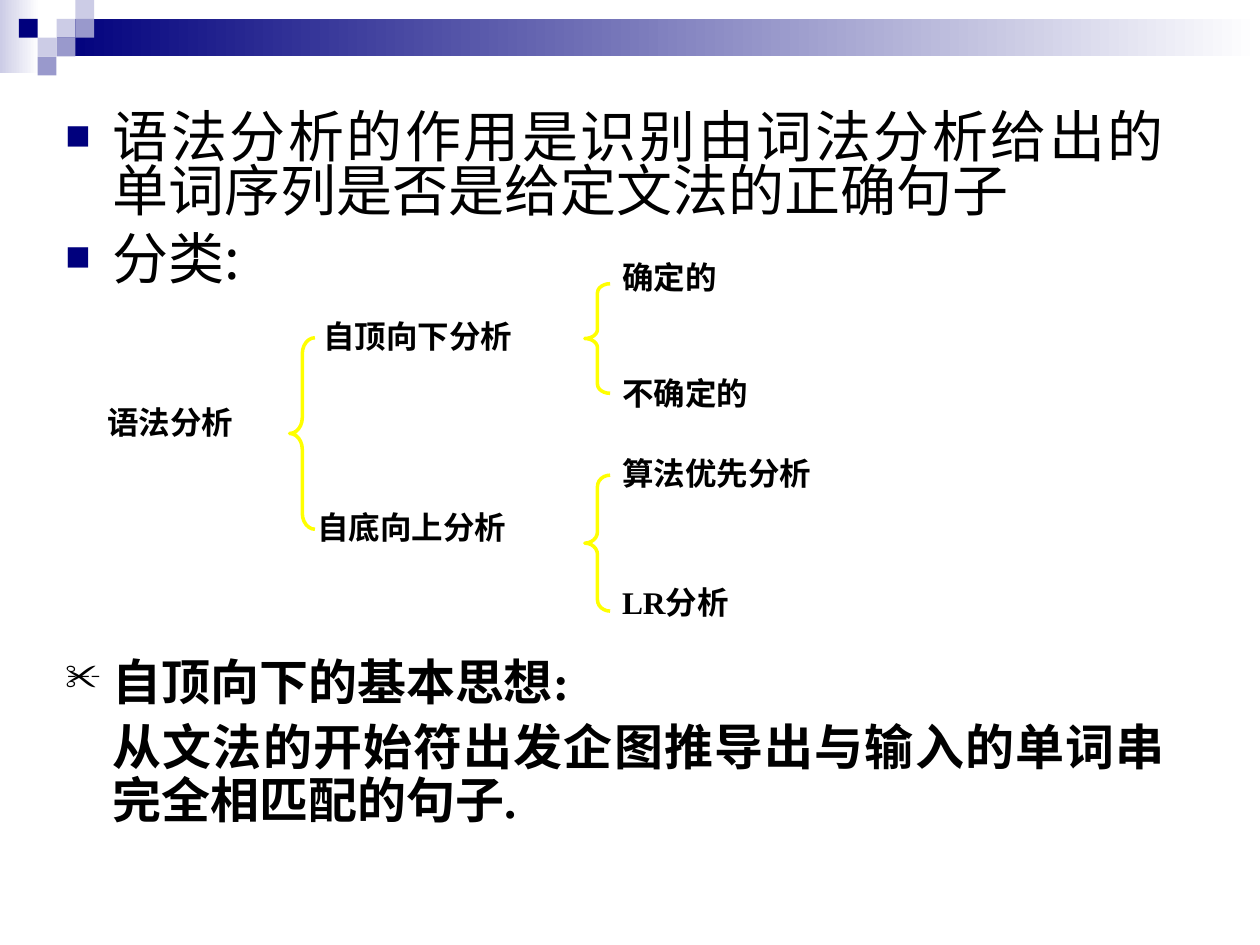
import pptx
import pptx.util
import pptx.oxml
import pptx.dml.color
import pptx.enum.text
import pptx.enum.shapes
from pptx.util import Cm, Pt

HUES = {
    "navy": "00007D",
    "mid": "9999CC",
    "pale": "CCCCE6",
    "white": "FFFFFF",
    "yellow": "FFFF00",
    "black": "000000",
}
SANS, SERIF = "Noto Sans CJK SC", "Times New Roman"
KINDS = pptx.enum.shapes.MSO_SHAPE


def hue(name):
    return pptx.dml.color.RGBColor.from_string(HUES[name])


def child(root, tag, **attrs):
    node = root.makeelement(pptx.oxml.ns.qn(tag), attrs)
    root.append(node)
    return node


class Deck:
    def __init__(self):
        self.prs = pptx.Presentation()
        self.prs.slide_width, self.prs.slide_height = Cm(25.4), Cm(19.05)
        self.slide = self.prs.slides.add_slide(self.prs.slide_layouts[1])
        title = self.slide.shapes.title
        title.element.getparent().remove(title.element)

    def shape(self, kind, box):
        item = self.slide.shapes.add_shape(kind, *map(Cm, box))
        item.shadow.inherit = False
        return item

    def block(self, box, tone):
        item = self.shape(KINDS.RECTANGLE, box)
        item.line.fill.background()
        item.fill.solid()
        item.fill.fore_color.rgb = hue(tone)
        return item

    def fade(self, box, tone):
        fill = self.block(box, tone).fill
        fill.gradient()
        fill.gradient_angle = 0
        for stop, name, place in zip(fill.gradient_stops, (tone, "white"), (0, 1)):
            stop.color.rgb = hue(name)
            stop.position = place

    def brace(self, left, top, high, wide=0.51):
        item = self.shape(KINDS.LEFT_BRACE, (left, top, wide, high))
        item.adjustments[0] = high / wide / 12
        item.fill.background()
        item.line.color.rgb = hue("yellow")
        item.line.width = Pt(2)

    def frame(self, item, lines):
        frame = item.text_frame
        frame.word_wrap = True
        frame.auto_size = pptx.enum.text.MSO_AUTO_SIZE.NONE
        frame.vertical_anchor = pptx.enum.text.MSO_ANCHOR.TOP
        frame.margin_left = frame.margin_right = Cm(0.25)
        frame.margin_top = frame.margin_bottom = Cm(0.13)
        frame.text = "\n".join(lines)
        return frame.paragraphs

    def style(self, para, face, size, bold):
        para.alignment = pptx.enum.text.PP_ALIGN.JUSTIFY
        for run in para.runs:
            font = run.font
            font.size, font.bold, font.name = Pt(size), bold, face
            font.color.rgb = hue("black")
            child(font._element, "a:ea", typeface=SANS)

    def label(self, text, left, top, wide):
        item = self.slide.shapes.add_textbox(Cm(left), Cm(top), Cm(wide), Cm(1.65))
        self.style(self.frame(item, [text])[0], SERIF, 18, True)

    def points(self, item, top, lines, marks, tone, face, size, bold, pitch, gap):
        item.left, item.top, item.width, item.height = map(Cm, (1.07, top, 22.66, 4.01))
        for num, (para, mark) in enumerate(zip(self.frame(item, lines), marks)):
            props = para._p.get_or_add_pPr()
            props.set("marL", str(Cm(0.95)))
            props.set("indent", str(Cm(-0.95) if mark else 0))
            if mark:
                child(child(props, "a:buClr"), "a:srgbClr", val=HUES[tone])
                child(props, "a:buSzPct", val="75000")
                child(props, "a:buChar", char=mark)
            else:
                child(props, "a:buNone")
            para.line_spacing = pitch
            para.space_before = Pt(gap if num else 0)
            self.style(para, face, size, bold)


def main():
    deck = Deck()

    # Header band and its mosaic of squares
    deck.fade((0, 0, 0.79, 1.47), "pale")
    deck.fade((1.14, 0.38, 24.26, 0.76), "navy")
    unit = 0.38
    mosaic = [(3, 1, "pale"), (4, 0, "pale"), (4, 1, "mid"), (2, 2, "pale"),
              (1, 1, "navy"), (3, 2, "mid"), (2, 3, "mid")]
    for col, row, tone in mosaic:
        deck.block((col * unit, row * unit, unit, unit), tone)

    # Main points
    body = deck.slide.placeholders[1]
    deck.points(body, 2.18,
                ["语法分析的作用是识别由词法分析给出的单词序列是否是给定文法的正确句子", "分类:"],
                "■■", "navy", SANS, 32, False, 0.8, 8)

    # Tree of parsing methods
    for place in [(5.84, 6.81, 3.86), (11.79, 5.72, 2.21), (11.79, 9.58, 2.74)]:
        deck.brace(*place)
    labels = [
        ("语法分析", 1.91, 8, 4.45),
        ("自顶向下分析", 6.27, 6.27, 6.07),
        ("自底向上分析", 6.15, 10.11, 7.01),
        ("确定的", 12.29, 5.08, 5.16),
        ("不确定的", 12.29, 7.42, 5.16),
        ("算法优先分析", 12.29, 9.02, 10.13),
        ("LR分析", 12.29, 11.63, 8.86),
    ]
    for entry in labels:
        deck.label(*entry)

    # Basic idea
    idea = deck.slide.shapes.add_textbox(0, 0, 0, 0)
    deck.points(idea, 13.13,
                ["自顶向下的基本思想:", "从文法的开始符出发企图推导出与输入的单词串完全相匹配的句子."],
                ("✂", None), "black", SERIF, 28, True, 0.9, 7)

    deck.prs.save("out.pptx")


if __name__ == "__main__":
    main()
